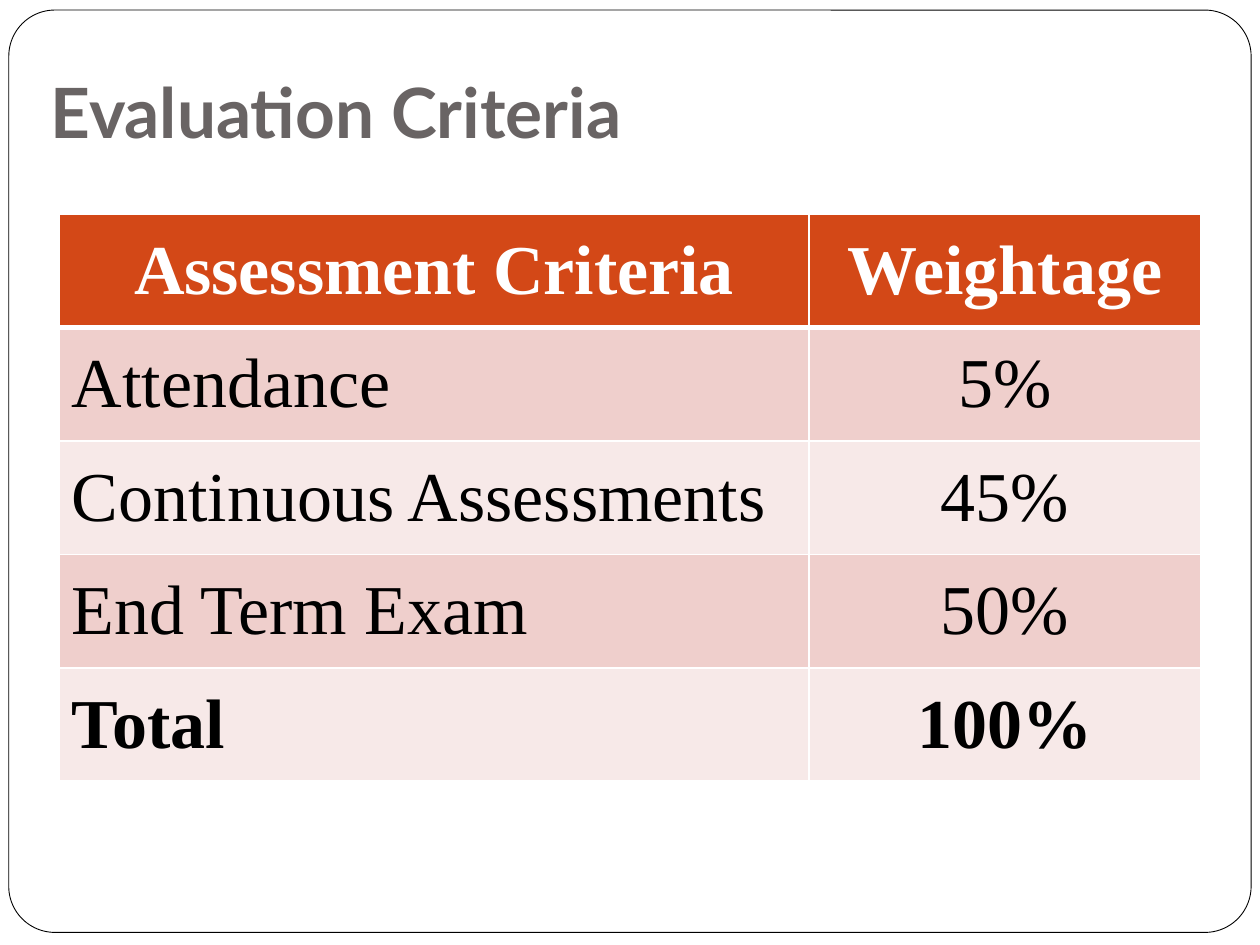
import pptx
import pptx.dml.color
import pptx.enum.shapes
import pptx.enum.text
import pptx.oxml
import pptx.oxml.ns
import pptx.util

Inches = pptx.util.Inches
Pt = pptx.util.Pt
ALIGN = pptx.enum.text.PP_ALIGN
ANCHOR = pptx.enum.text.MSO_ANCHOR

HUES = {
    "white": "FFFFFF",
    "black": "000000",
    "title": "696464",
    "head": "D34817",
    "dark": "EFCFCC",
    "light": "F7E9E8",
}
ROWS = [
    ("Assessment Criteria", "Weightage"),
    ("Attendance", "5%"),
    ("Continuous Assessments", "45%"),
    ("End Term Exam", "50%"),
    ("Total", "100%"),
]
WIDTHS = (5.95, 3.11)
HEIGHT = 0.9


def color(name):
    return pptx.dml.color.RGBColor.from_string(HUES[name])


def add_run(para, text, face, size, hue, bold):
    run = para.add_run()
    run.text = text
    run.font.name = face
    run.font.size = Pt(size)
    run.font.bold = bold
    run.font.color.rgb = color(hue)


def add_frame(slide):
    frame = slide.shapes.add_shape(
        pptx.enum.shapes.MSO_SHAPE.ROUNDED_RECTANGLE,
        Inches(0.07), Inches(0.08), Inches(9.86), Inches(7.32))
    frame.adjustments[0] = 0.05
    frame.shadow.inherit = False
    frame.fill.solid()
    frame.fill.fore_color.rgb = color("white")
    frame.line.color.rgb = color("black")
    frame.line.width = Pt(0.5)
    # Keep the frame behind the title
    slide.shapes._spTree.insert(2, frame._element)


def set_title(slide, text):
    title = slide.shapes.title
    title.left, title.top = Inches(0.3), Inches(0.6)
    title.width, title.height = Inches(9.37), Inches(0.71)
    box = title.text_frame
    box.auto_size = pptx.enum.text.MSO_AUTO_SIZE.NONE
    box.word_wrap = True
    box.vertical_anchor = ANCHOR.BOTTOM
    box.margin_left = box.margin_right = box.margin_bottom = Inches(0.1)
    box.margin_top = Inches(0.05)
    para = box.paragraphs[0]
    para.alignment = ALIGN.LEFT
    add_run(para, text, "Lato", 39.6, "title", True)


def set_edges(cell, widths):
    props = cell._tc.get_or_add_tcPr()
    space = pptx.oxml.ns.nsdecls("a")
    for spot, (side, width) in enumerate(widths.items()):
        edge = pptx.oxml.parse_xml(
            f'<a:ln{side} {space} w="{Pt(width)}"><a:solidFill>'
            f'<a:srgbClr val="{HUES["white"]}"/></a:solidFill></a:ln{side}>')
        props.insert(spot, edge)


def fill_cell(cell, text, row, col):
    head = row == 0
    bold = row in (0, len(ROWS) - 1)
    cell.fill.solid()
    cell.fill.fore_color.rgb = color(
        "head" if head else "dark" if row % 2 else "light")
    cell.vertical_anchor = ANCHOR.MIDDLE
    para = cell.text_frame.paragraphs[0]
    para.alignment = ALIGN.CENTER if head or col else ALIGN.LEFT
    add_run(para, text, "Times New Roman", 40,
            "white" if head else "black", bold)
    # The rule under the header is thicker
    set_edges(cell, {"L": 1, "R": 1, "T": 3 if row == 1 else 1,
                     "B": 3 if head else 1})


def add_grid(slide):
    table = slide.shapes.add_table(
        len(ROWS), len(WIDTHS), Inches(0.47), Inches(1.7),
        Inches(sum(WIDTHS)), Inches(HEIGHT * len(ROWS))).table
    for col, width in enumerate(WIDTHS):
        table.columns[col].width = Inches(width)
    for row, texts in enumerate(ROWS):
        table.rows[row].height = Inches(HEIGHT)
        for col, text in enumerate(texts):
            fill_cell(table.cell(row, col), text, row, col)


def main():
    deck = pptx.Presentation()
    deck.slide_width, deck.slide_height = Inches(10), Inches(7.5)
    slide = deck.slides.add_slide(deck.slide_layouts[5])
    add_frame(slide)
    set_title(slide, "Evaluation Criteria")
    add_grid(slide)
    deck.save("out.pptx")


if __name__ == "__main__":
    main()
